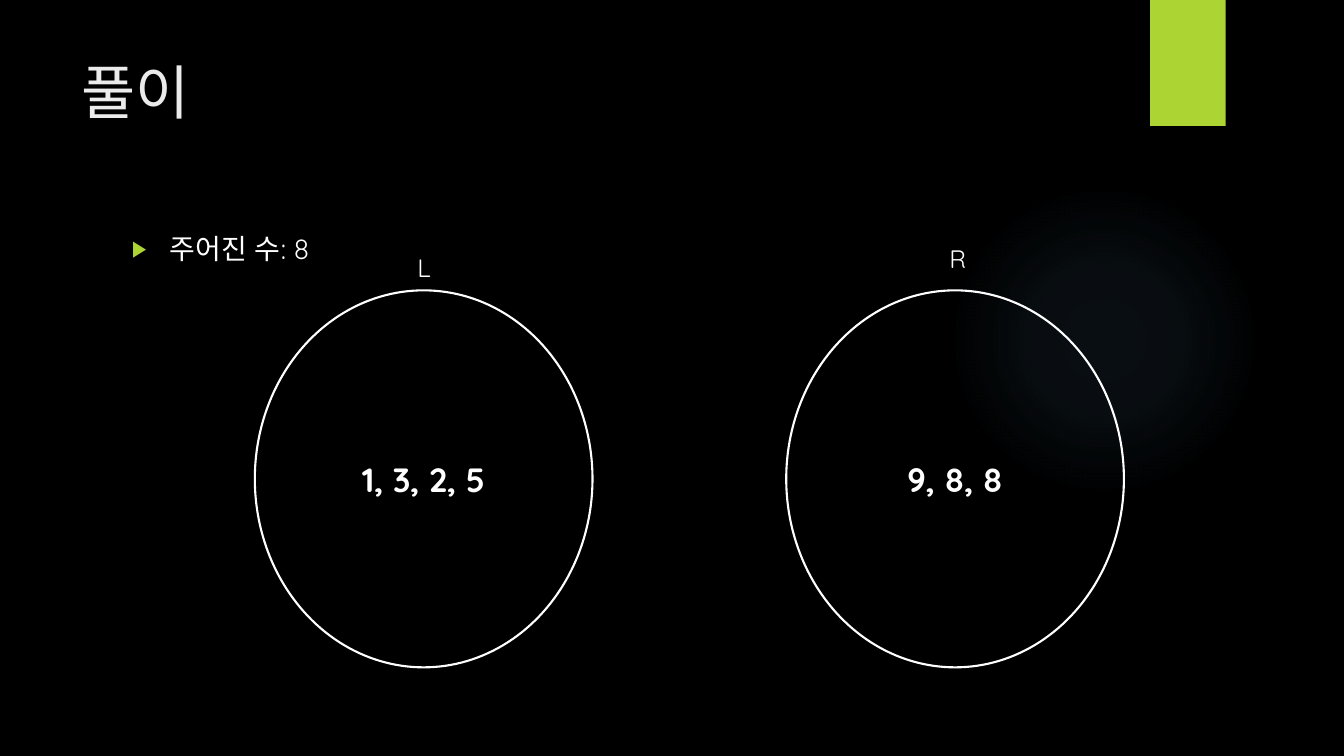
import pptx
import pptx.dml.color
import pptx.enum.shapes
import pptx.enum.text
import pptx.oxml
import pptx.oxml.ns
import pptx.util

Pt = pptx.util.Pt
SHAPES = pptx.enum.shapes.MSO_SHAPE
ALIGN = pptx.enum.text.PP_ALIGN
ANCHOR = pptx.enum.text.MSO_ANCHOR
AUTO_SIZE = pptx.enum.text.MSO_AUTO_SIZE
NAMESPACE = pptx.oxml.ns.nsdecls("a")
FONT = "Quicksand"
BLACK, WHITE, OFF_WHITE = "000000", "FFFFFF", "EBEBEB"
LIME, SKY = "ACD433", "7AC4F0"


def color(hex_string):
    """Return the colour for a hex string."""
    return pptx.dml.color.RGBColor.from_string(hex_string)


def write(shape, text, size=18, fill=WHITE, bold=False, align=ALIGN.LEFT,
          anchor=ANCHOR.TOP, wrap=True, auto_size=AUTO_SIZE.NONE):
    """Put formatted text into a shape and return its paragraph."""
    frame = shape.text_frame
    frame.word_wrap = wrap
    frame.auto_size = auto_size
    frame.vertical_anchor = anchor
    paragraph = frame.paragraphs[0]
    paragraph.alignment = align
    run = paragraph.add_run()
    run.text = text
    run.font.size = Pt(size)
    run.font.bold = bold
    run.font.name = FONT
    run.font.color.rgb = color(fill)
    run.font._element.append(pptx.oxml.parse_xml(f'<a:ea {NAMESPACE} typeface="{FONT}"/>'))
    return paragraph


def place(shape, left, top, width, height):
    """Move and size a placeholder."""
    shape.left, shape.top = Pt(left), Pt(top)
    shape.width, shape.height = Pt(width), Pt(height)


def add_bullet(paragraph, indent):
    """Give a paragraph a lime triangle bullet with a hanging indent."""
    properties = paragraph._p.get_or_add_pPr()
    properties.set("marL", str(Pt(indent)))
    properties.set("indent", str(-Pt(indent)))
    for xml in (f'<a:buClr {NAMESPACE}><a:srgbClr val="{LIME}"/></a:buClr>',
                f'<a:buSzPct {NAMESPACE} val="80000"/>',
                f'<a:buChar {NAMESPACE} char="▶"/>'):
        properties.append(pptx.oxml.parse_xml(xml))


def add_plain_shape(slide, kind, left, top, width, height):
    """Add a preset shape without shadow, fill or line."""
    shape = slide.shapes.add_shape(kind, Pt(left), Pt(top), Pt(width), Pt(height))
    shape.shadow.inherit = False
    shape.fill.background()
    shape.line.fill.background()
    return shape


def add_glow(slide, left, top, diameter):
    """Add a faint round glow that fades outwards."""
    glow = add_plain_shape(slide, SHAPES.OVAL, left, top, diameter, diameter)
    stops = "".join(
        f'<a:gs pos="{position * 1000}"><a:srgbClr val="{SKY}">'
        f'<a:alpha val="{alpha * 1000}"/></a:srgbClr></a:gs>'
        for position, alpha in ((0, 7), (36, 6), (69, 0)))
    gradient = pptx.oxml.parse_xml(
        f'<a:gradFill {NAMESPACE} rotWithShape="1"><a:gsLst>{stops}</a:gsLst>'
        '<a:path path="circle"><a:fillToRect l="50000" t="50000" r="50000" b="50000"/>'
        '</a:path></a:gradFill>')
    properties = glow._element.spPr
    properties.replace(properties.find(pptx.oxml.ns.qn("a:noFill")), gradient)


def add_number_set(slide, numbers, left):
    """Add an outlined ellipse that holds a set of numbers."""
    ellipse = add_plain_shape(slide, SHAPES.OVAL, left, 207.4, 241.2, 269.3)
    ellipse.line.color.rgb = color(WHITE)
    ellipse.line.width = Pt(1.5)
    write(ellipse, numbers, size=24, bold=True, align=ALIGN.CENTER, anchor=ANCHOR.MIDDLE)


def add_label(slide, text, left, top, width):
    """Add a one-line text box that fits its text."""
    box = slide.shapes.add_textbox(Pt(left), Pt(top), Pt(width), Pt(29))
    write(box, text, wrap=False, auto_size=AUTO_SIZE.SHAPE_TO_FIT_TEXT)


def main():
    """Build the slide and save it."""
    presentation = pptx.Presentation()
    presentation.slide_width, presentation.slide_height = Pt(960), Pt(540)
    slide = presentation.slides.add_slide(presentation.slide_layouts[1])
    slide.background.fill.solid()
    slide.background.fill.fore_color.rgb = color(BLACK)

    add_glow(slide, 677.5, 131.8, 221.8)
    tab = add_plain_shape(slide, SHAPES.RECTANGLE, 821.5, 0, 54, 90)
    tab.fill.solid()
    tab.fill.fore_color.rgb = color(LIME)

    title, body = slide.placeholders
    place(title, 51, 36, 741, 110)
    write(title, "풀이", size=42, fill=OFF_WHITE)
    place(body, 87, 162, 704, 330.5)
    given = write(body, "주어진 수: 8", size=20)
    given.space_before = Pt(10)
    add_bullet(given, 27)

    add_number_set(slide, "1, 3, 2, 5", 182)
    add_label(slide, "L", 291, 177, 23)
    add_number_set(slide, "9, 8, 8", 561.6)
    add_label(slide, "R", 671, 170.6, 25)
    presentation.save("out.pptx")


main()
